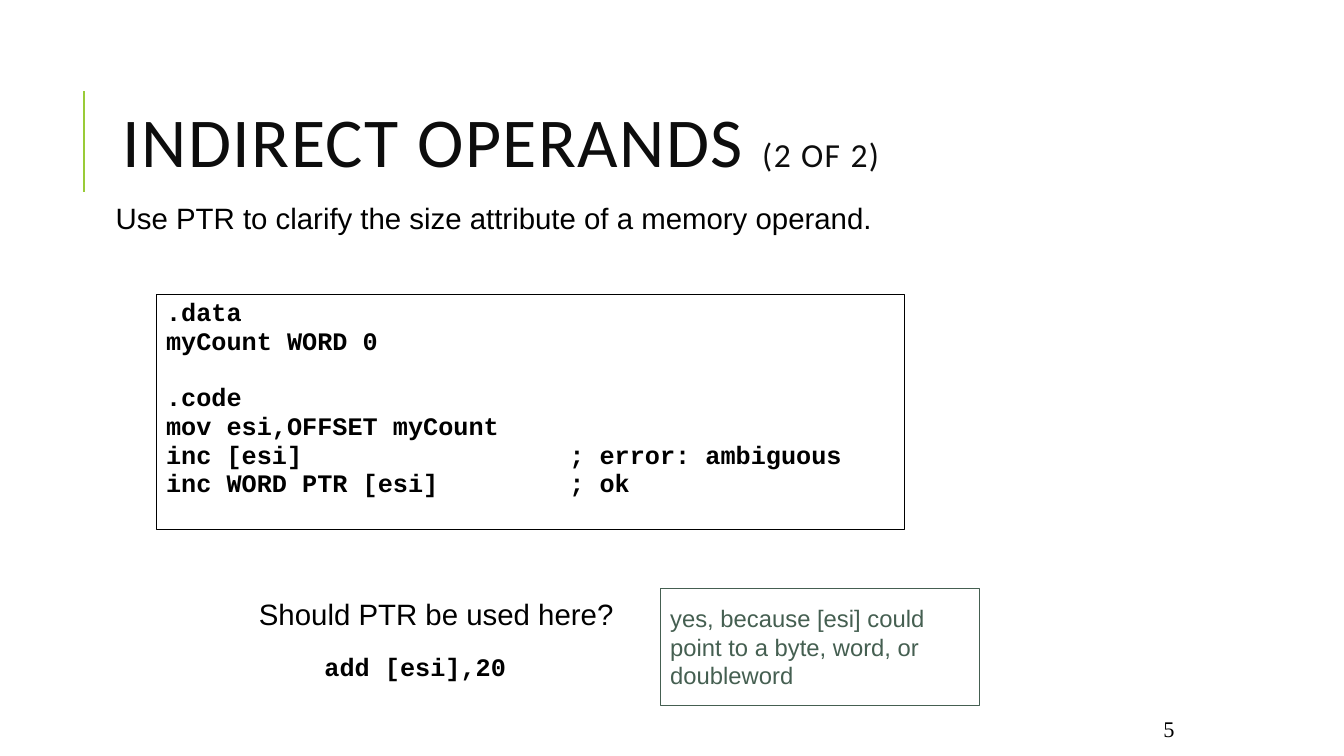
from dataclasses import dataclass
from typing import Optional

from lxml.etree import SubElement
from pptx import Presentation
from pptx.dml.color import RGBColor
from pptx.enum.shapes import MSO_CONNECTOR as Connector, MSO_SHAPE as Shape
from pptx.enum.text import MSO_ANCHOR as Anchor, PP_ALIGN as Align
from pptx.oxml.ns import qn
from pptx.util import Emu, Inches, Pt

SLIDE_WIDTH, SLIDE_HEIGHT = Inches(13.333), Inches(7.5)
COLUMN, ROW = SLIDE_WIDTH / 160, SLIDE_HEIGHT / 90

COLORS = {"accent": "99CB38", "title": "0D0D0D", "text": "000000", "answer": "455F51"}


@dataclass(frozen=True)
class Style:
    font: str
    size: float
    color: str = "text"
    bold: bool = False
    tracking: float = 0


@dataclass(frozen=True)
class Line:
    runs: tuple[tuple[str, Style], ...]
    before: float = 0
    spacing: Optional[float] = None
    align: Align = Align.LEFT
    tab: Optional[float] = None  # tab stop, in columns


@dataclass(frozen=True)
class Box:
    left: float
    top: float
    width: float
    height: float
    lines: tuple[Line, ...]
    margin_top: float = 0.15
    margin_bottom: float = 0.15
    anchor: Anchor = Anchor.TOP
    border: Optional[str] = None


TITLE = Style("Calibri", 50, "title", tracking=1)
SUBTITLE = Style("Calibri", 24, "title", tracking=1)
BODY = Style("Arial", 21)
ANSWER = Style("Arial", 17, "answer")
CODE = Style("Courier New", 18, bold=True)
NUMBER = Style("Times New Roman", 16)

CODE_GAP, SECTION_GAP = 9.7, 29.5
CODE_LINES = (
    (".data", CODE_GAP),
    ("myCount WORD 0", CODE_GAP),
    (".code", SECTION_GAP),
    ("mov esi,OFFSET myCount", CODE_GAP),
    ("inc [esi]\t; error: ambiguous", CODE_GAP),
    ("inc WORD PTR [esi]\t; ok", CODE_GAP),
)

BOXES = (
    Box(63.6, 84.96, 77.4, 3.6, (Line((("5", NUMBER),), align=Align.RIGHT),),
        0.05, 0.05, Anchor.MIDDLE),
    Box(13.44, 7.68, 127.56, 19.68,
        (Line((("INDIRECT OPERANDS ", TITLE), ("(2 OF 2)", SUBTITLE)), spacing=0.8),),
        0.05, 0.05, Anchor.MIDDLE),
    Box(18.6, 35.04, 89.04, 27.96,
        tuple(Line(((text, CODE),), gap, 0.5, tab=48) for text, gap in CODE_LINES),
        margin_bottom=0.25, border="text"),
    Box(12.6, 22.08, 101.04, 7.92,
        (Line((("Use PTR to clarify the size attribute of a memory operand.", BODY),)),)),
    Box(29.64, 69.12, 69, 14.16,
        (Line((("Should PTR be used here?", BODY),)),
         Line((("\t", BODY), (" add [esi],20", CODE)), before=11.5, tab=6))),
    Box(78.6, 70.08, 38.04, 13.92,
        (Line((("yes, because [esi] could point to a byte, word, or doubleword", ANSWER),)),),
        border="answer"),
)


def columns(count: float) -> Emu:
    return Emu(round(count * COLUMN))


def rows(count: float) -> Emu:
    return Emu(round(count * ROW))


def color(name: str) -> RGBColor:
    return RGBColor.from_string(COLORS[name])


def add_run(paragraph, text: str, style: Style) -> None:
    run = paragraph.add_run()
    run.text = text
    run.font.name = style.font
    run.font.size = Pt(style.size)
    run.font.bold = style.bold
    run.font.color.rgb = color(style.color)
    if style.tracking:
        run.font._element.set("spc", str(round(style.tracking * 100)))


def fill_paragraph(paragraph, line: Line) -> None:
    paragraph.alignment = line.align
    paragraph.space_before = Pt(line.before)
    if line.spacing:
        paragraph.line_spacing = line.spacing
    if line.tab:
        tabs = SubElement(paragraph._p.get_or_add_pPr(), qn("a:tabLst"))
        SubElement(tabs, qn("a:tab"), pos=str(columns(line.tab)), algn="l")
    for text, style in line.runs:
        add_run(paragraph, text, style)


def add_box(slide, box: Box) -> None:
    place = columns(box.left), rows(box.top), columns(box.width), rows(box.height)
    if box.border:
        shape = slide.shapes.add_shape(Shape.RECTANGLE, *place)
        shape.shadow.inherit = False
        shape.fill.background()
        shape.line.color.rgb = color(box.border)
        shape.line.width = Pt(0.75)
    else:
        shape = slide.shapes.add_textbox(*place)
    frame = shape.text_frame
    frame.word_wrap = True
    frame.vertical_anchor = box.anchor
    frame.margin_left = frame.margin_right = Inches(0.1)
    frame.margin_top = Inches(box.margin_top)
    frame.margin_bottom = Inches(box.margin_bottom)
    for index, line in enumerate(box.lines):
        fill_paragraph(frame.add_paragraph() if index else frame.paragraphs[0], line)


def add_title_rule(slide) -> None:
    rule = slide.shapes.add_connector(
        Connector.STRAIGHT, columns(10), rows(22.8), columns(10), rows(10.8))
    rule.line.color.rgb = color("accent")
    rule.line.width = Pt(1.5)
    SubElement(rule._element.spPr, qn("a:effectLst"))


def main() -> None:
    presentation = Presentation()
    presentation.slide_width, presentation.slide_height = SLIDE_WIDTH, SLIDE_HEIGHT
    slide = presentation.slides.add_slide(presentation.slide_layouts[6])
    add_title_rule(slide)
    for box in BOXES:
        add_box(slide, box)
    presentation.save("out.pptx")


if __name__ == "__main__":
    main()
